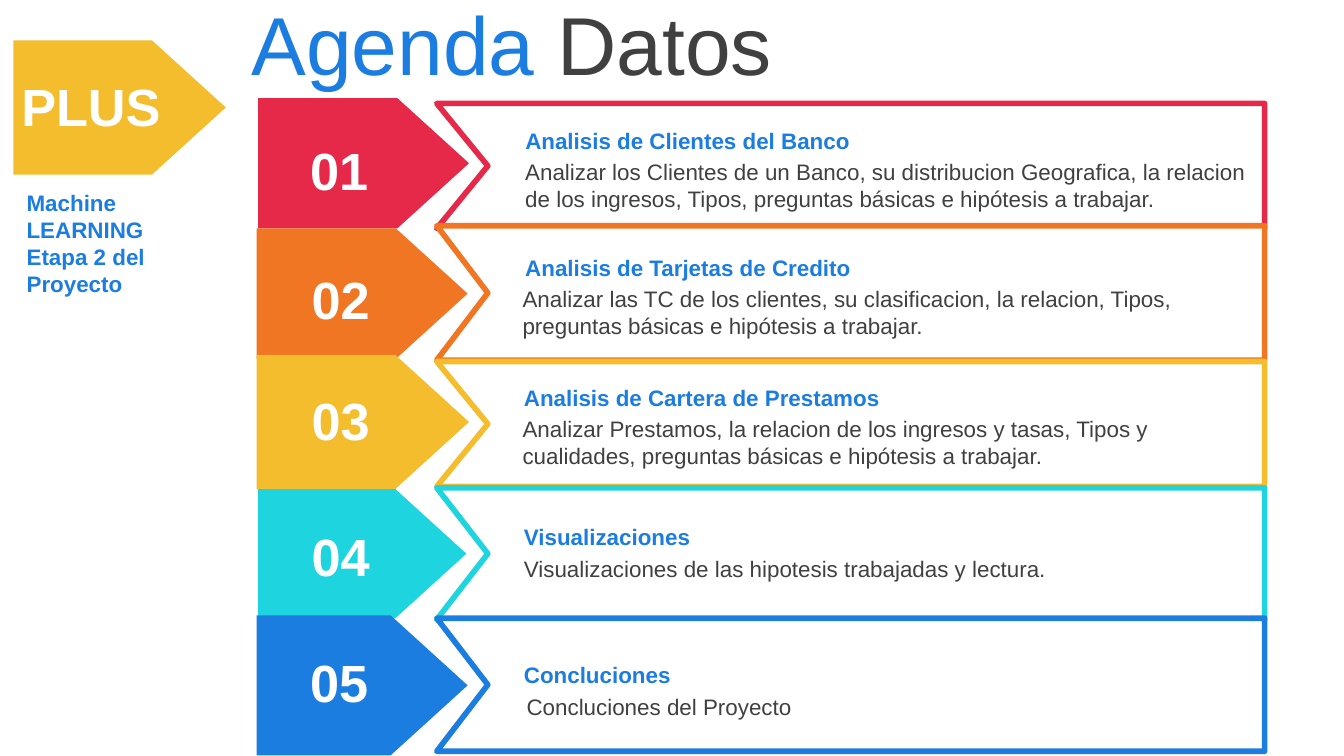
from dataclasses import dataclass

from lxml import etree
from pptx import Presentation
from pptx.dml.color import RGBColor
from pptx.enum.shapes import MSO_SHAPE
from pptx.enum.text import MSO_ANCHOR, MSO_AUTO_SIZE, PP_ALIGN
from pptx.oxml.ns import qn
from pptx.util import Inches, Pt

PLATE = MSO_SHAPE.PENTAGON
MIDDLE = MSO_ANCHOR.MIDDLE
TOP = MSO_ANCHOR.TOP
GROW = MSO_AUTO_SIZE.SHAPE_TO_FIT_TEXT
FIXED = MSO_AUTO_SIZE.NONE
LEFT = PP_ALIGN.LEFT

COLORS = {
    "red": "E62949",
    "orange": "F07624",
    "yellow": "F4BD2D",
    "cyan": "1ED4DE",
    "blue": "1C7DE1",
    "gray": "404040",
    "white": "FFFFFF",
}
HEAD = {"size": Pt(12), "bold": True}
BODY = {"size": Pt(12), "bold": False}
LABEL = {"size": Pt(28), "bold": True}
TITLE = {"size": Pt(44), "bold": False}

WIDTH = Inches(10)
HEIGHT = WIDTH * 9 // 16
PANEL_LEFT, PANEL_RIGHT, NOTCH = 3.25, 9.41, 3.63


@dataclass
class Box:
    x: float
    y: float
    w: float
    h: float


@dataclass
class Row:
    color: str
    arrow: Box
    top: float
    base: float
    label: Box
    head: Box
    body: Box
    name: str
    lines: list[str]


ROWS = [
    Row("red", Box(1.92, 0.73, 1.57, 0.97), 0.77, 1.7,
        Box(2.21, 1.03, 0.66, 0.47), Box(3.81, 0.9, 5.45, 0.3),
        Box(3.81, 1.13, 5.77, 0.5), "Analisis de Clientes del Banco",
        ["Analizar los Clientes de un Banco, su distribucion Geografica, la relacion",
         "de los ingresos, Tipos, preguntas básicas e hipótesis a trabajar."]),
    Row("orange", Box(1.91, 1.7, 1.57, 0.97), 1.68, 2.68,
        Box(2.22, 1.99, 0.66, 0.47), Box(3.81, 1.84, 5.3, 0.3),
        Box(3.79, 2.07, 5.3, 0.5), "Analisis de Tarjetas de Credito",
        ["Analizar las TC de los clientes, su clasificacion, la relacion, Tipos, "
         "preguntas básicas e hipótesis a trabajar."]),
    Row("yellow", Box(1.91, 2.64, 1.58, 1), 2.69, 3.62,
        Box(2.22, 2.89, 0.66, 0.47), Box(3.8, 2.81, 5.3, 0.3),
        Box(3.79, 3.04, 5.3, 0.5), "Analisis de Cartera de Prestamos",
        ["Analizar Prestamos, la relacion de los ingresos y tasas, Tipos y "
         "cualidades, preguntas básicas e hipótesis a trabajar."]),
    Row("cyan", Box(1.92, 3.64, 1.55, 0.96), 3.63, 4.61,
        Box(2.22, 3.9, 0.66, 0.47), Box(3.8, 3.84, 5.3, 0.3),
        Box(3.8, 4.08, 5.3, 0.3), "Visualizaciones",
        ["Visualizaciones de las hipotesis trabajadas y lectura."]),
    Row("blue", Box(1.91, 4.58, 1.57, 1.04), 4.6, 5.59,
        Box(2.21, 4.84, 0.66, 0.47), Box(3.8, 4.87, 5.3, 0.3),
        Box(3.82, 5.11, 5.3, 0.3), "Concluciones",
        ["Concluciones del Proyecto"]),
]


def rgb(color: str) -> RGBColor:
    return RGBColor.from_string(COLORS[color])


def place(box: Box) -> list[int]:
    return [Inches(n) for n in (box.x, box.y, box.w, box.h)]


def assign(item, values: dict) -> None:
    for key, value in values.items():
        setattr(item, key, value)


def add_run(para, text: str, style: dict, color: str) -> None:
    run = para.add_run()
    run.text = text
    assign(run.font, {"name": "Arial", **style})
    run.font.color.rgb = rgb(color)


def add_text(slide, box: Box, lines: list[str], style: dict, color: str) -> None:
    frame = slide.shapes.add_textbox(*place(box)).text_frame
    label = style is LABEL
    assign(frame, {"word_wrap": True, "auto_size": GROW,
                   "vertical_anchor": MIDDLE if label else TOP})
    if label:
        assign(frame, {"margin_top": 0, "margin_bottom": 0})
    for i, line in enumerate(lines):
        para = frame.add_paragraph() if i else frame.paragraphs[0]
        add_run(para, line, style, color)


def paint(shape, color: str) -> None:
    shape.shadow.inherit = False
    shape.fill.solid()
    shape.fill.fore_color.rgb = rgb(color)


def add_arrow(slide, box: Box, color: str) -> None:
    arrow = slide.shapes.add_shape(PLATE, *place(box))
    arrow.adjustments[0] = 0.55
    paint(arrow, color)
    arrow.line.fill.background()


def add_panel(slide, row: Row) -> None:
    spots = [(PANEL_RIGHT, row.top), (PANEL_RIGHT, row.base),
             (PANEL_LEFT, row.base), (NOTCH, (row.top + row.base) / 2)]
    pen = slide.shapes.build_freeform(Inches(PANEL_LEFT), Inches(row.top))
    pen.add_line_segments([(Inches(x), Inches(y)) for x, y in spots], close=True)
    panel = pen.convert_to_shape()
    paint(panel, "white")
    panel.line.color.rgb = rgb(row.color)
    panel.line.width = Pt(3)
    etree.SubElement(panel.element.spPr.find(qn("a:ln")), qn("a:round"))


def add_title(slide) -> None:
    title = slide.shapes.title
    title.left, title.top, title.width, title.height = place(Box(1.77, -0.17, 8.23, 0.97))
    assign(title.text_frame, {"vertical_anchor": MIDDLE, "auto_size": FIXED})
    para = title.text_frame.paragraphs[0]
    para.alignment = LEFT
    add_run(para, "Agenda", TITLE, "blue")
    add_run(para, " Datos", TITLE, "gray")


def main() -> None:
    deck = Presentation()
    assign(deck, {"slide_width": WIDTH, "slide_height": HEIGHT})
    slide = deck.slides.add_slide(deck.slide_layouts[5])
    add_title(slide)
    for i, row in enumerate(ROWS, 1):
        add_arrow(slide, row.arrow, row.color)
        add_panel(slide, row)
        add_text(slide, row.label, [f"{i:02}"], LABEL, "white")
        add_text(slide, row.head, [row.name], HEAD, "blue")
        add_text(slide, row.body, row.lines, BODY, "gray")
    add_arrow(slide, Box(0.1, 0.3, 1.58, 1), "yellow")
    add_text(slide, Box(0.06, 0.55, 1.58, 0.47), ["PLUS"], LABEL, "white")
    add_text(slide, Box(0.1, 1.36, 1.57, 0.91),
             ["Machine LEARNING", "Etapa 2 del Proyecto"], HEAD, "blue")
    deck.save("out.pptx")


if __name__ == "__main__":
    main()
